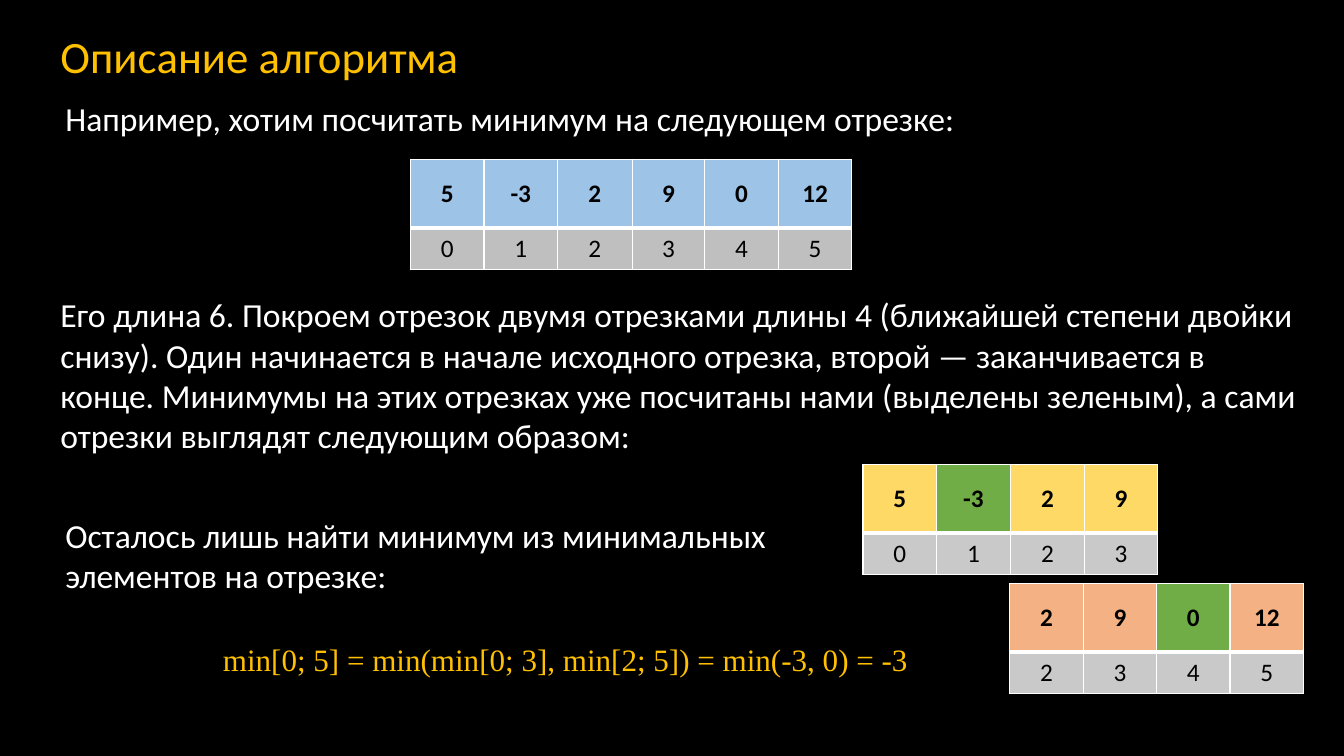
import pptx
import pptx.util
import pptx.dml.color
import pptx.enum.text
import pptx.oxml.ns
from lxml import etree

Inches, Pt = pptx.util.Inches, pptx.util.Pt
RGBColor = pptx.dml.color.RGBColor
PP_ALIGN, MSO_ANCHOR = pptx.enum.text.PP_ALIGN, pptx.enum.text.MSO_ANCHOR
qn = pptx.oxml.ns.qn

BLACK = RGBColor(0x00, 0x00, 0x00)
WHITE = RGBColor(0xFF, 0xFF, 0xFF)
GOLD = RGBColor(0xFF, 0xC0, 0x00)
BLUE = RGBColor(0x9D, 0xC3, 0xE6)
YELLOW = RGBColor(0xFF, 0xD9, 0x66)
ORANGE = RGBColor(0xF4, 0xB1, 0x83)
GREEN = RGBColor(0x70, 0xAD, 0x47)
GRAY = RGBColor(0xBF, 0xBF, 0xBF)
LIGHT_GRAY = RGBColor(0xC9, 0xC9, 0xC9)

VALUES = [5, -3, 2, 9, 0, 12]
COLUMN_WIDTHS = [0.73, 0.73, 0.74, 0.72, 0.73, 0.73]
ROW_HEIGHTS = [0.68, 0.41]


def style_paragraph(para, size, color, font="Calibri", bold=False, align=PP_ALIGN.LEFT):
    para.alignment = align
    para.font.name = font
    para.font.size = Pt(size)
    para.font.bold = bold
    para.font.color.rgb = color


def add_title(page, text):
    title = page.shapes.title
    title.left, title.top = Inches(0.5), Inches(0.13)
    title.width, title.height = Inches(4.81), Inches(0.91)
    title.text_frame.text = text
    title.text_frame.vertical_anchor = MSO_ANCHOR.MIDDLE
    para = title.text_frame.paragraphs[0]
    style_paragraph(para, 32, GOLD)
    para.line_spacing = 0.9


def add_text(page, text, left, top, width, height, spacing=1.0, size=24, color=WHITE, **style):
    box = page.shapes.add_textbox(Inches(left), Inches(top), Inches(width), Inches(height))
    box.text_frame.word_wrap = True
    para = box.text_frame.paragraphs[0]
    para.text = text
    style_paragraph(para, size, color, **style)
    para.line_spacing = spacing
    para.space_before = Pt(10)


def set_borders(cell, top, bottom):
    properties = cell._tc.get_or_add_tcPr()
    widths = {"a:lnL": 1, "a:lnR": 1, "a:lnT": top, "a:lnB": bottom}
    # Border lines come before the fill in the cell properties
    for position, (tag, width) in enumerate(widths.items()):
        line = etree.Element(qn(tag), w=str(Pt(width)))
        fill = etree.SubElement(line, qn("a:solidFill"))
        etree.SubElement(fill, qn("a:srgbClr"), val=str(WHITE))
        properties.insert(position, line)


def add_segment(page, first, last, left, top, value_fill, index_fill, minimum=None):
    """Draw array elements first..last above their indices."""
    indices = range(first, last + 1)
    widths = COLUMN_WIDTHS[first:last + 1]
    table = page.shapes.add_table(2, len(indices), Inches(left), Inches(top),
                                  Inches(sum(widths)), Inches(sum(ROW_HEIGHTS))).table
    for row, height in zip(table.rows, ROW_HEIGHTS):
        row.height = Inches(height)
    for column, index in enumerate(indices):
        table.columns[column].width = Inches(widths[column])
        top_fill = GREEN if index == minimum else value_fill
        contents = [(VALUES[index], top_fill, True), (index, index_fill, False)]
        for row, (number, fill, bold) in enumerate(contents):
            cell = table.cell(row, column)
            cell.text = str(number)
            cell.vertical_anchor = MSO_ANCHOR.MIDDLE
            cell.fill.solid()
            cell.fill.fore_color.rgb = fill
            style_paragraph(cell.text_frame.paragraphs[0], 18, BLACK,
                            bold=bold, align=PP_ALIGN.CENTER)
            set_borders(cell, *((1, 3) if row == 0 else (3, 1)))


def main():
    deck = pptx.Presentation()
    deck.slide_width, deck.slide_height = Inches(13.33), Inches(7.5)
    page = deck.slides.add_slide(deck.slide_layouts[5])
    page.background.fill.solid()
    page.background.fill.fore_color.rgb = BLACK

    # Heading and the whole segment
    add_title(page, "Описание алгоритма")
    add_text(page, "Например, хотим посчитать минимум на следующем отрезке:",
             0.55, 0.84, 11.5, 0.78, spacing=1.2)
    add_segment(page, 0, 5, 4.07, 1.58, BLUE, GRAY)

    # Two covering segments with their minimums
    add_text(page, "Его длина 6. Покроем отрезок двумя отрезками длины 4 (ближайшей степени "
             "двойки снизу). Один начинается в начале исходного отрезка, второй — "
             "заканчивается в конце. Минимумы на этих отрезках уже посчитаны нами "
             "(выделены зеленым), а сами отрезки выглядят следующим образом:",
             0.5, 2.87, 12.49, 1.36)
    add_segment(page, 0, 3, 8.56, 4.61, YELLOW, LIGHT_GRAY, minimum=1)
    add_segment(page, 2, 5, 10.01, 5.79, ORANGE, LIGHT_GRAY, minimum=4)

    # Conclusion and formula
    add_text(page, "Осталось лишь найти минимум из минимальных элементов на отрезке:",
             0.55, 5.06, 7.94, 2.55)
    add_text(page, "min[0; 5] = min(min[0; 3], min[2; 5]) = min(-3, 0) = -3",
             1.64, 6.23, 7.94, 0.82, spacing=1.2, size=22.2, color=GOLD,
             font="Times New Roman", align=PP_ALIGN.CENTER)

    deck.save("out.pptx")


if __name__ == "__main__":
    main()
